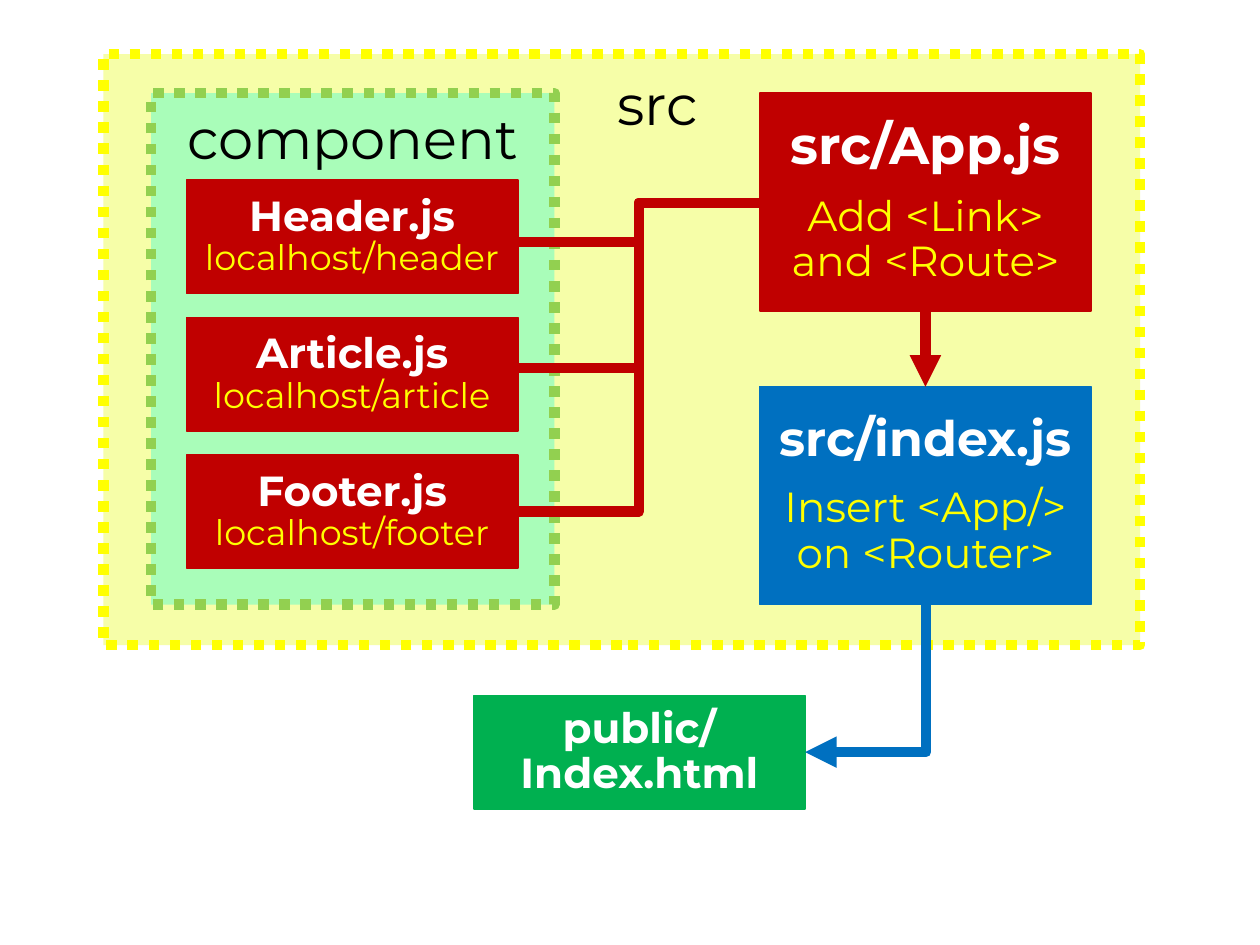
"""Build a slide showing how the source files of a routed web app fit together."""
from dataclasses import dataclass

from lxml.etree import SubElement
from pptx import Presentation
from pptx.dml.color import RGBColor
from pptx.enum.dml import MSO_LINE
from pptx.enum.shapes import MSO_CONNECTOR, MSO_SHAPE
from pptx.enum.text import MSO_ANCHOR, PP_ALIGN
from pptx.oxml.ns import qn
from pptx.util import Inches, Pt


@dataclass(frozen=True)
class Theme:
    font: str = "Montserrat"
    red: str = "C00000"
    blue: str = "0070C0"
    green: str = "00B050"
    white: str = "FFFFFF"
    black: str = "000000"
    yellow: str = "FFFF00"
    pale_yellow: str = "F6FEA8"
    lime: str = "92D050"
    mint: str = "A9FDB9"
    folder_size: int = 32
    app_size: int = 30
    index_size: int = 28
    body_size: int = 24
    route_size: int = 20
    heavy_line: int = 6


theme = Theme()
prs = Presentation()
prs.slide_width, prs.slide_height = Inches(10), Inches(7.5)
slide = prs.slides.add_slide(prs.slide_layouts[6])
shapes = slide.shapes


def add_box(place, fill, line, line_width=1, lines=(), gap=0):
    box = shapes.add_shape(MSO_SHAPE.RECTANGLE, *map(Inches, place))
    box.shadow.inherit = False
    box.fill.solid()
    box.fill.fore_color.rgb = RGBColor.from_string(fill)
    box.line.color.rgb = RGBColor.from_string(line)
    box.line.width = Pt(line_width)
    frame = box.text_frame
    frame.word_wrap = True
    frame.vertical_anchor = MSO_ANCHOR.MIDDLE
    for index, (text, size, color, bold) in enumerate(lines):
        paragraph = frame.add_paragraph() if index else frame.paragraphs[0]
        paragraph.alignment = PP_ALIGN.CENTER
        paragraph.line_spacing = 0.9
        if index and gap:
            paragraph.space_before = Pt(gap)
        run = paragraph.add_run()
        run.text = text
        run.font.name = theme.font
        run.font.size = Pt(size)
        run.font.bold = bold
        run.font.color.rgb = RGBColor.from_string(color)
    return box


def add_link(kind, start, end, color, arrow=None):
    link = shapes.add_connector(kind, *map(Inches, (*start, *end)))
    link.line.color.rgb = RGBColor.from_string(color)
    link.line.width = Pt(theme.heavy_line)
    if arrow:
        SubElement(link.line._get_or_add_ln(), qn(arrow), type="triangle")
    SubElement(link._element.spPr, qn("a:effectLst"))
    return link


src_folder = add_box((0.82, 0.43, 8.23, 4.69), theme.pale_yellow, theme.yellow, theme.heavy_line)
src_folder.line.dash_style = MSO_LINE.ROUND_DOT

app = add_box((6.03, 0.74, 2.63, 1.73), theme.red, theme.red, gap=11, lines=[
    ("src/App.js", theme.app_size, theme.white, True),
    ("Add <Link> and <Route>", theme.body_size, theme.yellow, False)])
index_js = add_box((6.03, 3.07, 2.63, 1.73), theme.blue, theme.blue, 0.75, gap=11, lines=[
    ("src/index.js", theme.index_size, theme.white, True),
    ("Insert <App/> on <Router>", theme.body_size, theme.yellow, False)])
add_box((3.76, 5.52, 2.63, 0.9), theme.green, theme.green, lines=[
    (text, theme.body_size, theme.white, True) for text in ("public/", "Index.html")])

app_to_index = add_link(MSO_CONNECTOR.STRAIGHT, (7.35, 2.47), (7.35, 3.07), theme.red, "a:tailEnd")
app_to_index.begin_connect(app, 2)
app_to_index.end_connect(index_js, 0)
page_to_index = add_link(MSO_CONNECTOR.ELBOW, (6.39, 5.97), (7.35, 4.8), theme.blue, "a:headEnd")
page_to_index._element.spPr.find(qn("a:prstGeom")).set("prst", "bentConnector2")

component_folder = add_box((1.2, 0.74, 3.2, 4.06), theme.mint, theme.lime, theme.heavy_line)
component_folder.line.dash_style = MSO_LINE.ROUND_DOT

for folder, place, alignment in (
    ("src", (4.8, 0.5, 0.9, 0.64), PP_ALIGN.LEFT),
    ("component", (1.2, 0.77, 3.2, 0.64), PP_ALIGN.CENTER),
):
    label = shapes.add_textbox(*map(Inches, place))
    label.text_frame.word_wrap = True
    paragraph = label.text_frame.paragraphs[0]
    paragraph.alignment = alignment
    run = paragraph.add_run()
    run.text = folder
    run.font.name = theme.font
    run.font.size = Pt(theme.folder_size)
    run.font.color.rgb = RGBColor.from_string(theme.black)

components = (("Header", 1.92), ("Article", 2.92), ("Footer", 4.06))
for row, (component, link_y) in enumerate(components):
    add_box((1.48, 1.43 + 1.09 * row, 2.63, 0.9), theme.red, theme.red, lines=[
        (f"{component}.js", theme.body_size, theme.white, True),
        (f"localhost/{component.lower()}", theme.route_size, theme.yellow, False)])
    add_link(MSO_CONNECTOR.ELBOW, (4.11, link_y), (6.03, 1.61), theme.red)

prs.save("out.pptx")
